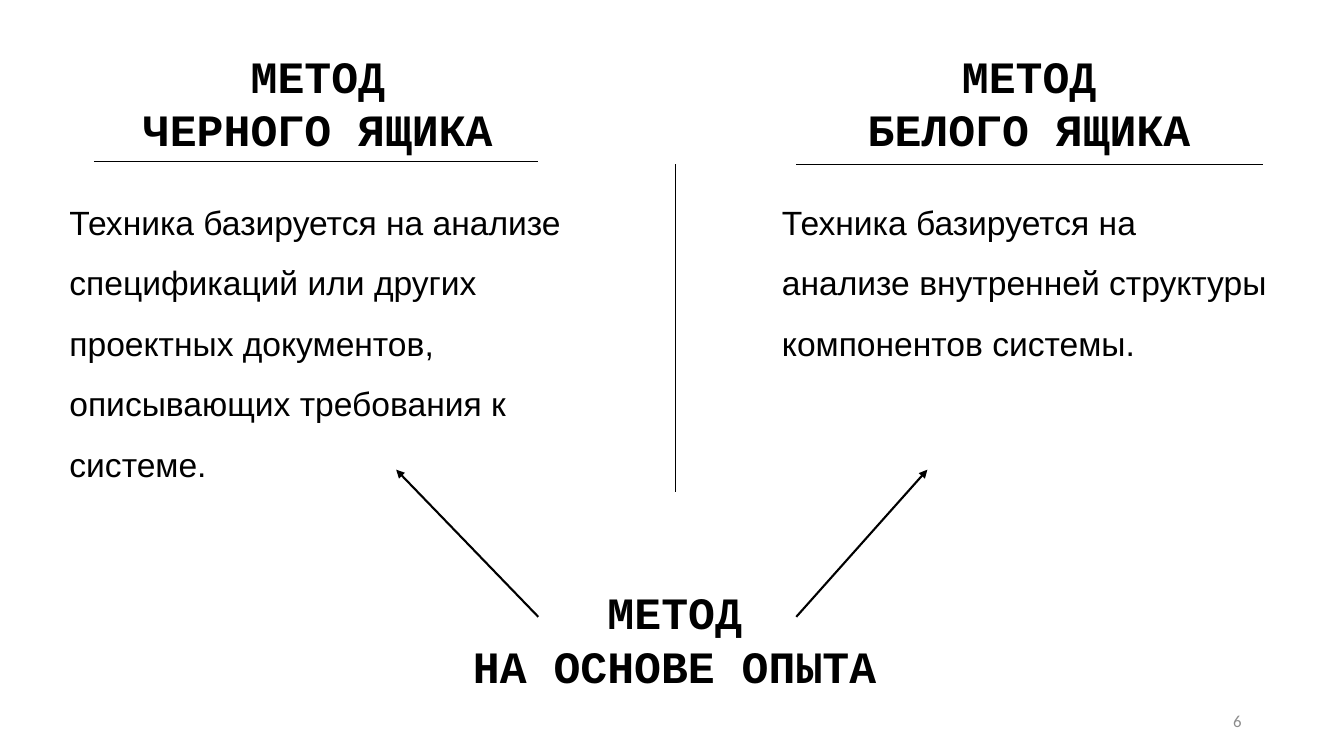
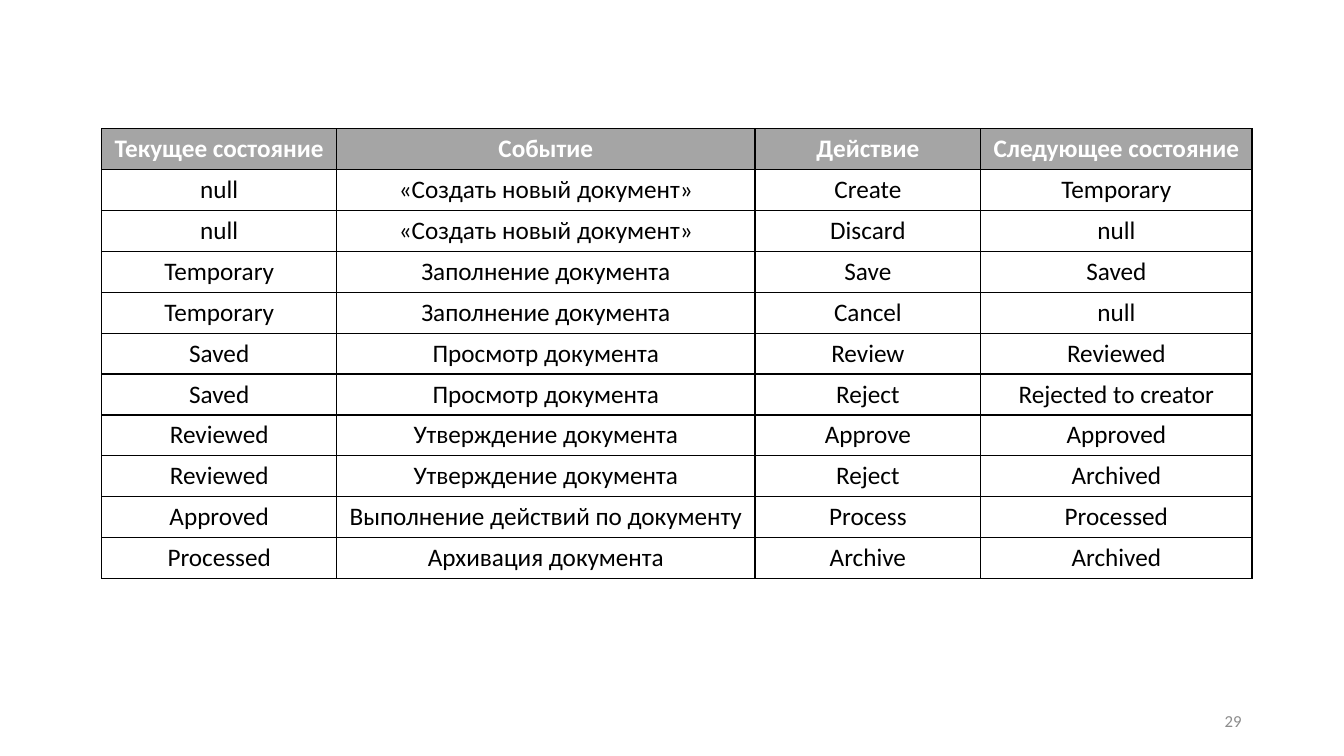
from typing import NamedTuple

from pptx import Presentation
from pptx.dml.color import RGBColor
from pptx.enum.shapes import MSO_CONNECTOR as Conn
from pptx.enum.text import MSO_ANCHOR as Anchor, PP_ALIGN as Align
from pptx.oxml import parse_xml
from pptx.oxml.ns import nsdecls, qn
from pptx.slide import Slide
from pptx.util import Pt

COLORS = {"text": "000000", "line": "000000", "number": "8C8C8C",
          "header": "A5A5A5", "header_text": "FFFFFF", "cell": "FFFFFF"}


class Style(NamedTuple):
    font: str
    size: float
    color: str = "text"
    bold: bool = False
    align: Align = Align.LEFT
    spacing: float = 1.0


HEADING = Style("Courier New", 32, bold=True, align=Align.CENTER)
BODY = Style("Arial", 24, spacing=1.5)
NUMBER = Style("Calibri", 12, "number", align=Align.RIGHT)
CELL = Style("Calibri", 18, align=Align.CENTER)
HEADER = CELL._replace(color="header_text", bold=True)


class Text(NamedTuple):
    left: float
    top: float
    width: float
    height: float
    paragraphs: tuple[str, ...]
    style: Style
    wrap: bool = True
    anchor: Anchor = Anchor.TOP


class Line(NamedTuple):
    x1: float
    y1: float
    x2: float
    y2: float
    weight: float = 0.5
    arrow: bool = False


def rgb(name: str) -> RGBColor:
    return RGBColor.from_string(COLORS[name])


def write(tf, paragraphs: tuple[str, ...], style: Style) -> None:
    for i, words in enumerate(paragraphs):
        p = tf.paragraphs[0] if i == 0 else tf.add_paragraph()
        p.alignment = style.align
        p.line_spacing = style.spacing
        r = p.add_run()
        r.text = words
        r.font.name = style.font
        r.font.size = Pt(style.size)
        r.font.bold = style.bold
        r.font.color.rgb = rgb(style.color)


def add_text(s: Slide, text: Text) -> None:
    sp = s.shapes.add_textbox(Pt(text.left), Pt(text.top), Pt(text.width), Pt(text.height))
    tf = sp.text_frame
    tf.word_wrap = text.wrap
    tf.vertical_anchor = text.anchor
    write(tf, text.paragraphs, text.style)


def add_heading(s: Slide, left: float, top: float, width: float, second: str) -> None:
    add_text(s, Text(left, top, width, 85, ("МЕТОД", second), HEADING, wrap=False))


def add_number(s: Slide, number: int) -> None:
    add_text(s, Text(678, 500.5, 216, 28.75, (str(number),), NUMBER, anchor=Anchor.MIDDLE))


def add_line(s: Slide, line: Line) -> None:
    cx = s.shapes.add_connector(Conn.STRAIGHT, Pt(line.x1), Pt(line.y1), Pt(line.x2), Pt(line.y2))
    cx.line.width = Pt(line.weight)
    cx.line.color.rgb = rgb("line")
    if line.arrow:
        cx.line._get_or_add_ln().append(
            parse_xml(f'<a:tailEnd {nsdecls("a")} type="triangle"/>'))
    cx._element.spPr.append(parse_xml(f'<a:effectLst {nsdecls("a")}/>'))


def add_borders(cell) -> None:
    tc_pr = cell._tc.get_or_add_tcPr()
    for i, side in enumerate("LRTB"):
        tc_pr.insert(i, parse_xml(
            f'<a:ln{side} {nsdecls("a")} w="{Pt(1)}"><a:solidFill>'
            f'<a:srgbClr val="{COLORS["line"]}"/></a:solidFill></a:ln{side}>'))


def add_grid(s: Slide, left: float, top: float, widths: tuple[float, ...],
             row_height: float, rows: list[tuple[str, ...]]) -> None:
    frame = s.shapes.add_table(len(rows), len(widths), Pt(left), Pt(top),
                               Pt(sum(widths)), Pt(row_height * len(rows)))
    table = frame.table
    for column, width in zip(table.columns, widths):
        column.width = Pt(width)
    for i, row in enumerate(rows):
        table.rows[i].height = Pt(row_height)
        for j, words in enumerate(row):
            cell = table.cell(i, j)
            cell.fill.solid()
            cell.fill.fore_color.rgb = rgb("cell" if i else "header")
            add_borders(cell)
            write(cell.text_frame, (words,), CELL if i else HEADER)


TRANSITIONS = [
    ("Текущее состояние", "Событие", "Действие", "Следующее состояние"),
    ("null", "«Создать новый документ»", "Create", "Temporary"),
    ("null", "«Создать новый документ»", "Discard", "null"),
    ("Temporary", "Заполнение документа", "Save", "Saved"),
    ("Temporary", "Заполнение документа", "Cancel", "null"),
    ("Saved", "Просмотр документа", "Review", "Reviewed"),
    ("Saved", "Просмотр документа", "Reject", "Rejected to creator"),
    ("Reviewed", "Утверждение документа", "Approve", "Approved"),
    ("Reviewed", "Утверждение документа", "Reject", "Archived"),
    ("Approved", "Выполнение действий по документу", "Process", "Processed"),
    ("Processed", "Архивация документа", "Archive", "Archived"),
]


def build_methods(s: Slide) -> None:
    # Headings
    add_heading(s, 93.6, 31, 267, "ЧЕРНОГО ЯЩИКА")
    add_heading(s, 611.3, 31, 247.7, "БЕЛОГО ЯЩИКА")
    add_heading(s, 329, 414, 306, "НА ОСНОВЕ ОПЫТА")

    # Descriptions
    add_text(s, Text(42.5, 126, 370, 225.4, (
        "Техника базируется на анализе спецификаций или других проектных "
        "документов, описывающих требования к системе.",), BODY))
    add_text(s, Text(551.5, 126, 363, 138.2, (
        "Техника базируется на анализе внутренней структуры "
        "компонентов системы.",), BODY))

    # Underlines, divider and arrows
    for line in (Line(67, 115.2, 384.5, 115.2),
                 Line(568.8, 117.4, 902.2, 117.4),
                 Line(482.4, 117.4, 482.4, 351.4),
                 Line(384.5, 440.6, 283, 335.5, 1.5, arrow=True),
                 Line(568.8, 440.6, 662.4, 335.5, 1.5, arrow=True)):
        add_line(s, line)
    add_number(s, 6)


def build_transitions(s: Slide) -> None:
    add_grid(s, 72.7, 92, (167.8, 298.8, 161.3, 193.7), 29.2, TRANSITIONS)
    add_number(s, 29)


def main() -> None:
    prs = Presentation()
    prs.slide_width, prs.slide_height = Pt(960), Pt(540)
    blank = prs.slide_layouts[6]
    for build in (build_methods, build_transitions):
        build(prs.slides.add_slide(blank))
    prs.save("out.pptx")


if __name__ == "__main__":
    main()
